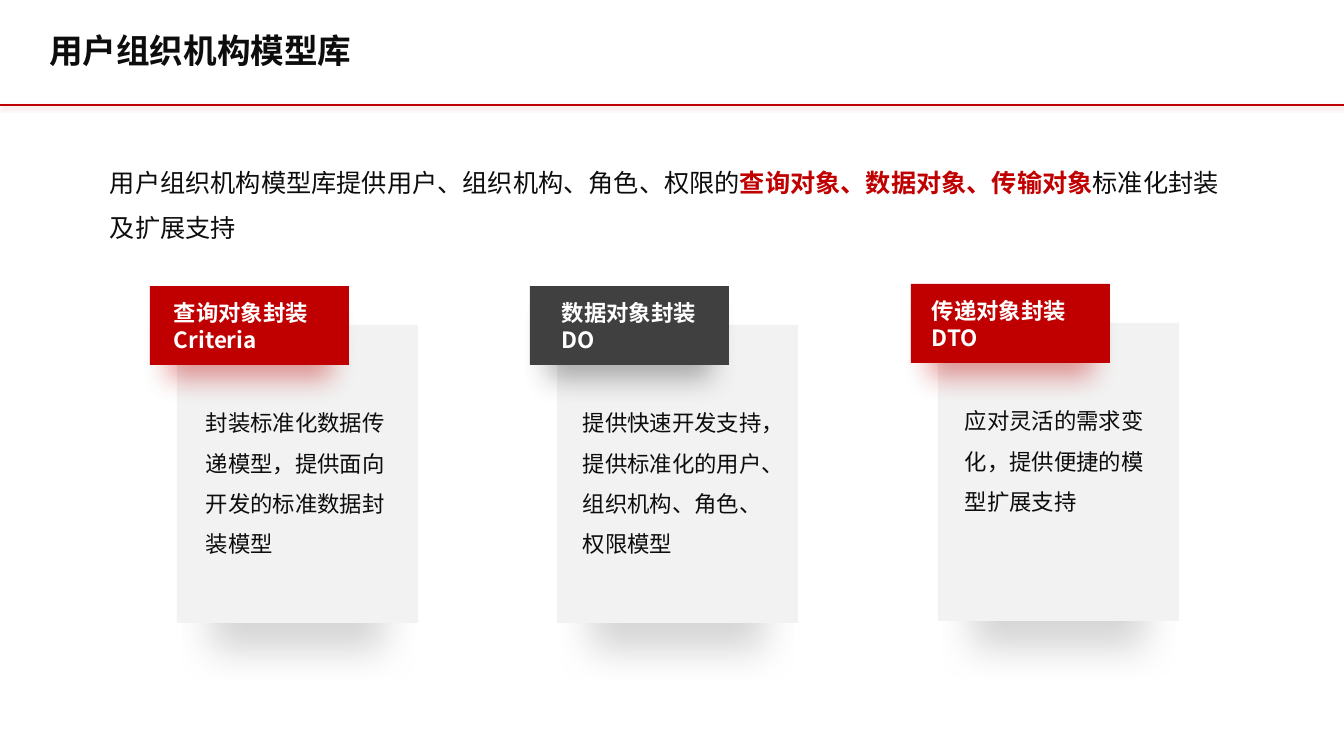
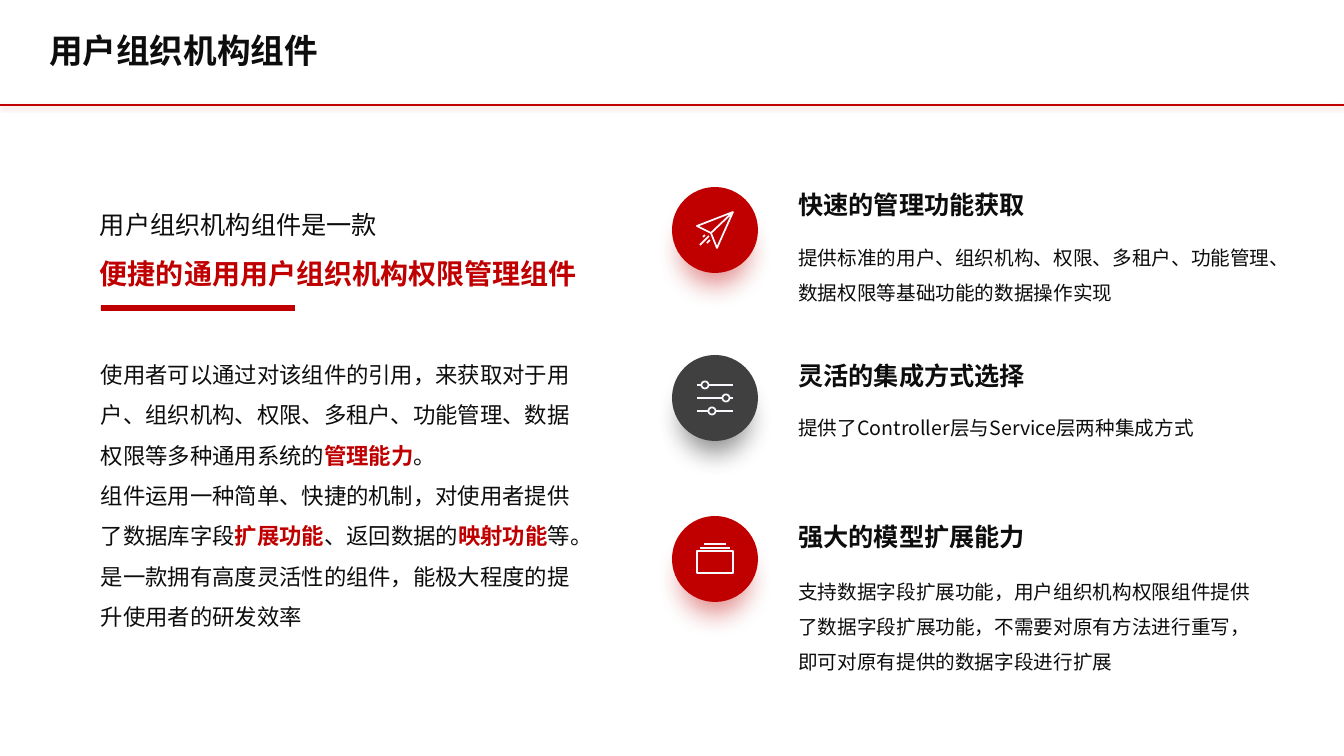
from math import cos, pi, sin

from lxml.etree import SubElement
from pptx import Presentation
from pptx.dml.color import RGBColor
from pptx.enum.shapes import MSO_CONNECTOR, MSO_SHAPE
from pptx.enum.text import MSO_ANCHOR, MSO_AUTO_SIZE, PP_ALIGN
from pptx.oxml.ns import qn
from pptx.util import Emu, Pt

EMU_PER_PX = 914400 / 100.8
PAGE_WIDTH, PAGE_HEIGHT = 1344, 756
FONT = "Noto Sans CJK SC"
COLORS = {
    "ink": "0D0D0D",
    "red": "C00000",
    "dark": "404040",
    "card": "F2F2F2",
    "white": "FFFFFF",
    "icon": "F7F9FF",
    "black": "000000",
}


def px(*lengths):
    return [Emu(round(length * EMU_PER_PX)) for length in lengths]


def rgb(name):
    return RGBColor.from_string(COLORS[name])


def set_shadow(shape, color=None, alpha=0, blur=0, distance=0, scale=100):
    """Replace the theme shadow with a downward one, or with none."""
    effects = SubElement(shape.element.spPr, qn("a:effectLst"))
    if color is None:
        return
    shadow = SubElement(
        effects, qn("a:outerShdw"), blurRad=str(Pt(blur)), dist=str(Pt(distance)),
        dir="5400000", sx=str(scale * 1000), sy=str(scale * 1000),
        algn="ctr", rotWithShape="0")
    tone = SubElement(shadow, qn("a:srgbClr"), val=COLORS[color])
    SubElement(tone, qn("a:alpha"), val=str(alpha * 1000))


def write(frame, text, size=16, color="ink", bold=False, spacing=1.0):
    """Add text to a frame; lines are paragraphs, *marked* spans are red and bold."""
    frame.word_wrap = True
    frame.auto_size = MSO_AUTO_SIZE.NONE
    for line in text.split("\n"):
        para = frame.add_paragraph() if frame.text else frame.paragraphs[0]
        para.alignment = PP_ALIGN.LEFT
        para.line_spacing = spacing
        for index, part in enumerate(line.split("*")):
            if not part:
                continue
            marked = index % 2 == 1
            span = para.add_run()
            span.text = part
            span.font.name = FONT
            span.font.size = Pt(size)
            span.font.bold = bold or marked
            span.font.color.rgb = rgb("red" if marked else color)
            SubElement(span._r.get_or_add_rPr(), qn("a:ea"), typeface=FONT)


def add_text(shapes, place, text, **style):
    box = shapes.add_textbox(*px(*place))
    write(box.text_frame, text, **style)
    return box


def add_block(shapes, kind, place, fill, **shadow):
    block = shapes.add_shape(kind, *px(*place))
    block.fill.solid()
    block.fill.fore_color.rgb = rgb(fill)
    block.line.fill.background()
    set_shadow(block, **shadow)


def style_layout(layout, page):
    """Place the layout's title and its red rule, which is made on page and moved."""
    title = layout.placeholders[0]
    title.left, title.top, title.width, title.height = px(39, 28, 708, 44)
    rule = page.shapes.add_connector(
        MSO_CONNECTOR.STRAIGHT, *px(0, 105, PAGE_WIDTH, 105))
    rule.line.color.rgb = rgb("red")
    rule.line.width = Pt(1.5)
    set_shadow(rule, color="red", alpha=20, blur=3.1, distance=1.6)
    layout.shapes.element.append(rule.element)


def set_title(page, text):
    frame = page.shapes.title.text_frame
    frame.vertical_anchor = MSO_ANCHOR.MIDDLE
    write(frame, text, size=24, bold=True)


def add_card(page, left, top, fill, label, label_left, label_width, body, body_left):
    shapes = page.shapes.add_group_shape().shapes
    add_block(shapes, MSO_SHAPE.RECTANGLE, (left + 27, top + 39, 241, 298), "card",
              color="black", alpha=17, blur=29, distance=49, scale=72)
    add_block(shapes, MSO_SHAPE.RECTANGLE, (left, top, 199, 79), fill,
              color=fill, alpha=40, blur=20, distance=15, scale=82)
    add_text(shapes, (label_left, top + 8, label_width, 64), label,
             color="white", bold=True)
    add_text(shapes, (body_left, top + 105, 208, 168), body, spacing=1.5)


def plane_strokes():
    tip, fold = (61, 25), (39, 46)
    return [
        [tip, (25, 39), fold, (45, 61), tip, fold],
        [(38, 53), (35, 56)],
        [(37, 49), (28, 58)],
        [(33, 48), (31, 50)],
    ]


def slider_strokes():
    radius, steps = 3.5, 24
    strokes = []
    for row, knob in enumerate((33, 54, 40)):
        y = 30 + 13 * row
        angles = [2 * pi * step / steps for step in range(steps + 1)]
        strokes += [
            [(25, y), (knob - radius, y)],
            [(knob + radius * cos(a), y + radius * sin(a)) for a in angles],
            [(knob + radius, y), (61, y)],
        ]
    return strokes


def folder_strokes():
    return [
        [(25, 35), (61, 35), (61, 57), (25, 57), (25, 35)],
        [(28, 32), (58, 32)],
        [(32, 28), (54, 28)],
    ]


def draw_icon(shapes, left, top, strokes):
    """Draw all strokes, given from the disc's corner, as one outline."""
    placed = [[(left + x, top + y) for x, y in stroke] for stroke in strokes]
    builder = shapes.build_freeform(*placed[0][0], scale=EMU_PER_PX / 100)
    builder = shapes.build_freeform(
        *[round(100 * value) for value in placed[0][0]], scale=EMU_PER_PX / 100)
    for number, stroke in enumerate(placed):
        start, *rest = [(round(100 * x), round(100 * y)) for x, y in stroke]
        if number:
            builder.move_to(*start)
        builder.add_line_segments(rest, close=False)
    icon = builder.convert_to_shape()
    icon.fill.background()
    icon.line.color.rgb = rgb("icon")
    icon.line.width = Pt(1.25)
    set_shadow(icon)


def add_feature(page, top, fill, glow, strokes, heading, heading_top,
                body, body_top, body_width=490):
    left, text_left = 672, 788.4
    shapes = page.shapes.add_group_shape().shapes
    add_block(shapes, MSO_SHAPE.OVAL, (left, top, 86, 86), fill,
              color=glow, alpha=43, blur=19, distance=15, scale=80)
    draw_icon(shapes, left, top, strokes)
    add_text(page.shapes, (text_left, heading_top, 260, 40), heading,
             size=18, bold=True)
    add_text(page.shapes, (text_left, body_top, body_width, 112), body,
             size=14, spacing=1.5)


def build_model_page(page):
    set_title(page, "用户组织机构模型库")
    add_text(page.shapes, (100, 147, 1145, 97),
             "用户组织机构模型库提供用户、组织机构、角色、权限的"
             "*查询对象、数据对象、传输对象*标准化封装及扩展支持",
             size=18, spacing=1.5)
    add_card(page, 150, 286, "red", "查询对象封装Criteria", 164, 172,
             "封装标准化数据传递模型，提供面向开发的标准数据封装模型", 196)
    add_card(page, 530, 286, "dark", "数据对象封装DO", 552, 157,
             "提供快速开发支持，提供标准化的用户、组织机构、角色、权限模型", 573)
    add_card(page, 911, 284, "red", "传递对象封装DTO", 922, 177,
             "应对灵活的需求变化，提供便捷的模型扩展支持", 955)


def build_component_page(page):
    set_title(page, "用户组织机构组件")
    lead = add_text(page.shapes, (90, 189, 523, 101), "用户组织机构组件是一款",
                    size=18, spacing=1.5)
    write(lead.text_frame, "便捷的通用用户组织机构权限管理组件",
          size=20, color="red", bold=True, spacing=1.5)
    add_block(page.shapes, MSO_SHAPE.RECTANGLE, (101, 305, 194, 6), "red")
    add_text(page.shapes, (91, 343, 494, 290),
             "使用者可以通过对该组件的引用，来获取对于用户、组织机构、权限、多租户、"
             "功能管理、数据权限等多种通用系统的*管理能力*。\n"
             "组件运用一种简单、快捷的机制，对使用者提供了数据库字段*扩展功能*、"
             "返回数据的*映射功能*等。是一款拥有高度灵活性的组件，"
             "能极大程度的提升使用者的研发效率", spacing=1.5)
    add_feature(page, 187, "red", "red", plane_strokes(), "快速的管理功能获取", 184,
                "提供标准的用户、组织机构、权限、多租户、功能管理、"
                "数据权限等基础功能的数据操作实现", 229, body_width=493)
    add_feature(page, 355, "dark", "black", slider_strokes(), "灵活的集成方式选择", 355,
                "提供了Controller层与Service层两种集成方式", 399)
    add_feature(page, 516, "red", "red", folder_strokes(), "强大的模型扩展能力", 516,
                "支持数据字段扩展功能，用户组织机构权限组件提供了数据字段扩展功能，"
                "不需要对原有方法进行重写，即可对原有提供的数据字段进行扩展", 563)


def main():
    deck = Presentation()
    deck.slide_width, deck.slide_height = px(PAGE_WIDTH, PAGE_HEIGHT)
    layout = deck.slide_layouts[5]
    model_page, component_page = [deck.slides.add_slide(layout) for _ in range(2)]
    style_layout(layout, model_page)
    build_model_page(model_page)
    build_component_page(component_page)
    deck.save("out.pptx")


if __name__ == "__main__":
    main()
